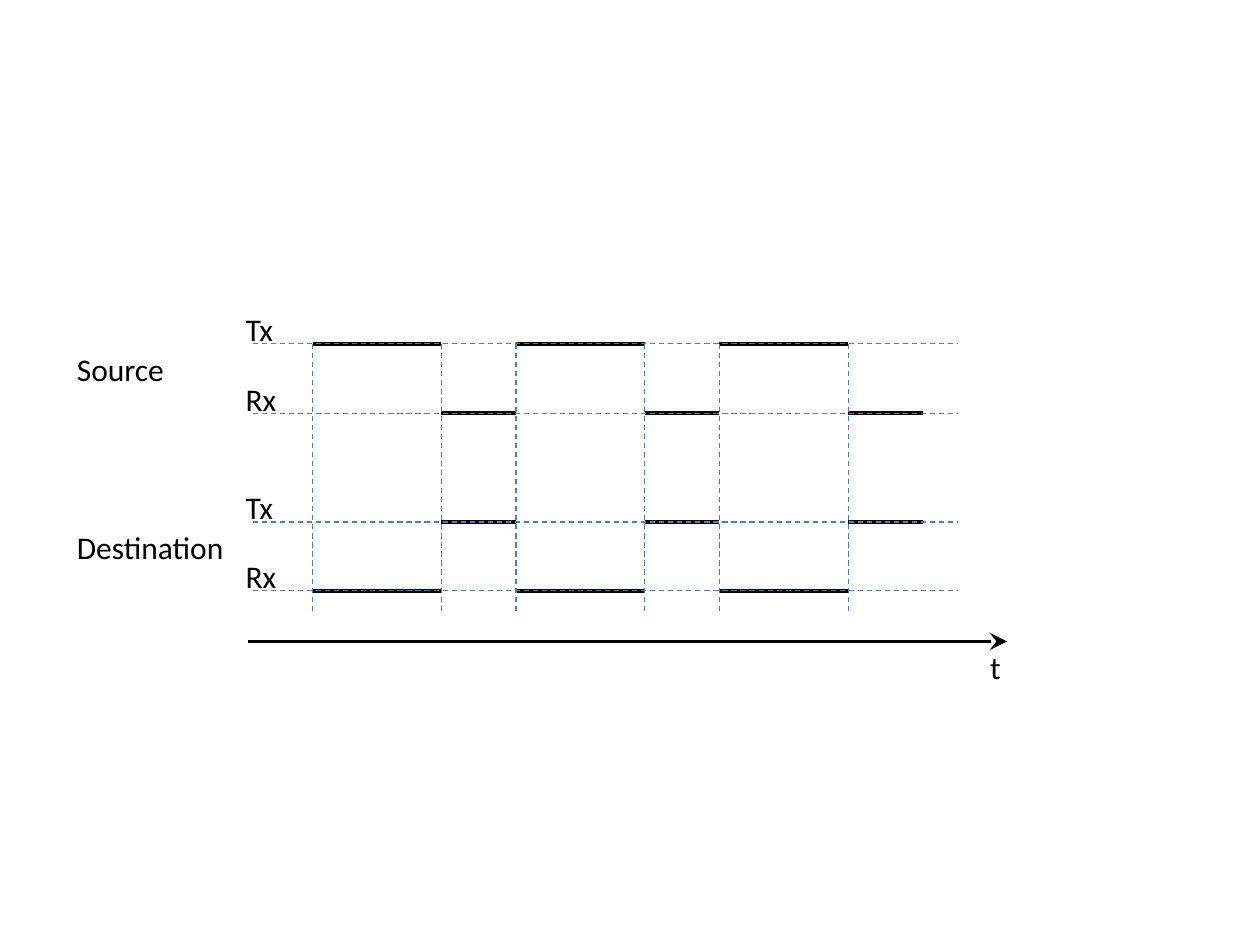
from lxml import etree
from pptx import Presentation
from pptx import util as u
from pptx.dml.color import RGBColor
from pptx.enum import dml, shapes, text
from pptx.oxml.ns import qn

COLORS = {"ink": "000000", "guide": "4B7EBC"}
LEVELS = {
    "Source": {"Tx": 6.93, "Rx": 8.33},
    "Destination": {"Tx": 10.52, "Rx": 11.91},
}
FIRST_SLOT, LONG_SLOT, SHORT_SLOT, CYCLES = 6.3, 2.6, 1.5, 3
GUIDE_LEFT, GUIDE_RIGHT, GUIDE_BOTTOM = 5.1, 19.3, 12.32
AXIS_Y = 12.93


def add_text(s, content, x, y, width=1.4, size=18, font="Calibri", color="ink"):
    sp = s.shapes.add_textbox(u.Cm(x), u.Cm(y), u.Cm(width), u.Cm(1.03))
    tf = sp.text_frame
    tf.word_wrap = True
    tf.auto_size = text.MSO_AUTO_SIZE.SHAPE_TO_FIT_TEXT
    r = tf.paragraphs[0].add_run()
    r.text = content
    r.font.size = u.Pt(size)
    r.font.name = font
    r.font.color.rgb = RGBColor.from_string(COLORS[color])


def add_line(s, x1, y1, x2, y2, color="ink", width=2, dashed=False, arrow=False):
    sp = s.shapes.add_connector(
        shapes.MSO_CONNECTOR.STRAIGHT, u.Cm(x1), u.Cm(y1), u.Cm(x2), u.Cm(y2))
    sp.line.color.rgb = RGBColor.from_string(COLORS[color])
    sp.line.width = u.Pt(width)
    if dashed:
        sp.line.dash_style = dml.MSO_LINE.DASH
    if arrow:
        ln = sp.line._get_or_add_ln()
        etree.SubElement(ln, qn("a:tailEnd"), type="stealth", w="lg", len="lg")
    etree.SubElement(sp._element.spPr, qn("a:effectLst"))


def add_guide(s, x1, y1, x2, y2):
    add_line(s, x1, y1, x2, y2, color="guide", width=0.75, dashed=True)


def add_cycle(s, start):
    switch = start + LONG_SLOT
    end = switch + SHORT_SLOT
    source, destination = LEVELS["Source"], LEVELS["Destination"]
    for y in (source["Tx"], destination["Rx"]):
        add_line(s, start, y, switch, y)
    for y in (source["Rx"], destination["Tx"]):
        add_line(s, switch, y, end, y)
    for x in (start, switch):
        add_guide(s, x, source["Tx"], x, GUIDE_BOTTOM)


def add_node(s, name, levels):
    add_text(s, name, 1.3, levels["Tx"], width=3.7)
    for mode, y in levels.items():
        add_guide(s, GUIDE_LEFT, y, GUIDE_RIGHT, y)
        add_text(s, mode, 4.7, y - 0.8)


def add_time_axis(s):
    add_line(s, 5, AXIS_Y, 20.3, AXIS_Y, arrow=True)
    add_text(s, "t", 19.71, AXIS_Y)


def main():
    prs = Presentation()
    prs.slide_width, prs.slide_height = u.Cm(25.4), u.Cm(19.05)
    s = prs.slides.add_slide(prs.slide_layouts[6])
    for i in range(CYCLES):
        add_cycle(s, FIRST_SLOT + i * (LONG_SLOT + SHORT_SLOT))
    for name, levels in LEVELS.items():
        add_node(s, name, levels)
    add_time_axis(s)
    prs.save("out.pptx")


if __name__ == "__main__":
    main()
